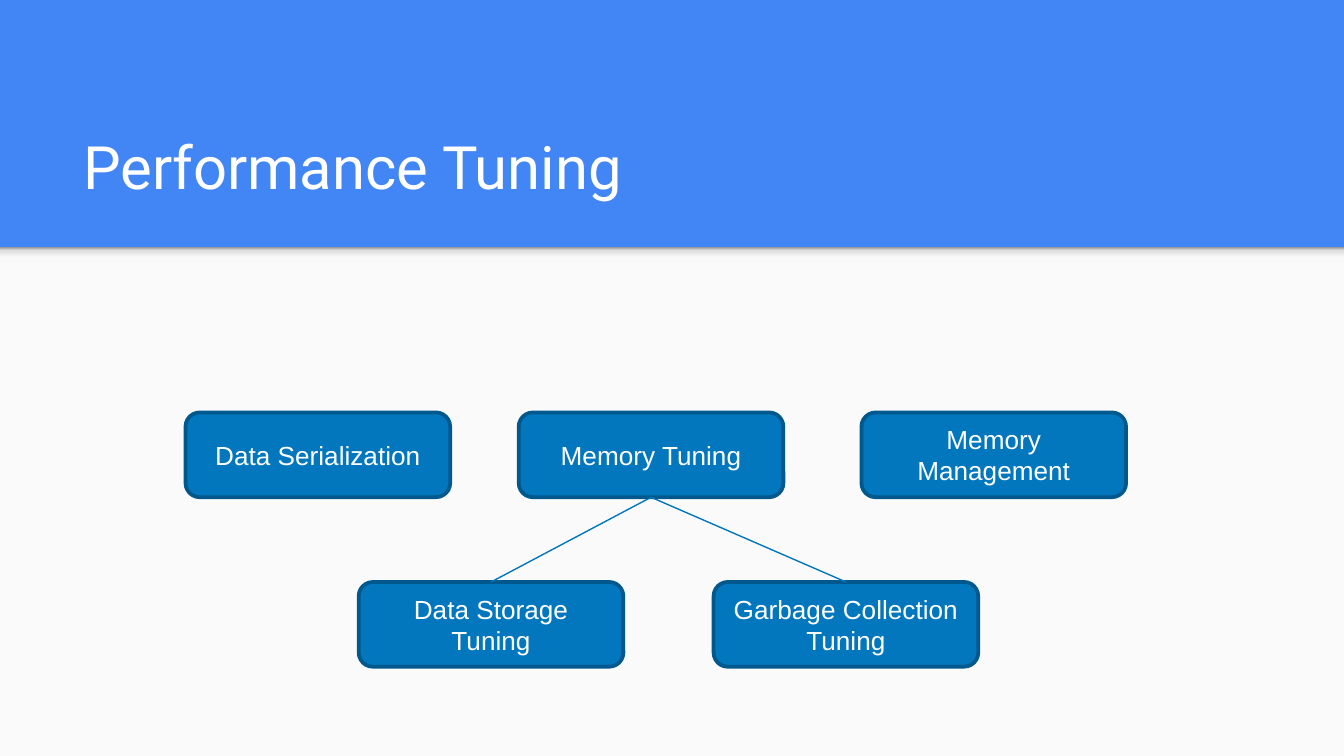
from dataclasses import dataclass

from pptx import Presentation
from pptx.dml.color import RGBColor
from pptx.enum.shapes import MSO_CONNECTOR, MSO_SHAPE
from pptx.enum.text import MSO_ANCHOR, PP_ALIGN
from pptx.oxml import parse_xml
from pptx.oxml.ns import nsdecls, qn
from pptx.util import Pt

RECTANGLE = MSO_SHAPE.RECTANGLE
ROUNDED = MSO_SHAPE.ROUNDED_RECTANGLE
STRAIGHT = MSO_CONNECTOR.STRAIGHT
MIDDLE = MSO_ANCHOR.MIDDLE
LEFT, CENTER = PP_ALIGN.LEFT, PP_ALIGN.CENTER
TOP_SITE, BOTTOM_SITE = 0, 2


@dataclass(frozen=True)
class Theme:
    banner: str = "4285F4"
    body: str = "FAFAFA"
    text: str = "FFFFFF"
    node: str = "0277BD"
    border: str = "01588C"
    link: str = "0075BB"
    shadow: tuple = ((0, "F9F9F9"), (36, "F9F9F9"), (80, "DEDEDE"), (100, "999999"))
    title_font: str = "Roboto"
    node_font: str = "Arial"
    title_size: float = 32
    node_size: float = 14
    border_width: float = 2
    link_width: float = 0.75


THEME = Theme()
WIDTH, HEIGHT = 720, 405
BANNER_HEIGHT = 132.5
SHADOW_HEIGHT = 8.6
NODE_WIDTH, NODE_HEIGHT = 141.8, 45.4
TOP_ROW, BOTTOM_ROW = 221, 311.8

# Label, left, top
NODES = (
    ("Data Serialization", 99.4, TOP_ROW),
    ("Memory Tuning", 277.9, TOP_ROW),
    ("Memory Management", 461.5, TOP_ROW),
    ("Data Storage Tuning", 192.2, BOTTOM_ROW),
    ("Garbage Collection Tuning", 382.3, BOTTOM_ROW),
)
LINKS = (
    ("Memory Tuning", "Data Storage Tuning"),
    ("Memory Tuning", "Garbage Collection Tuning"),
)


def color(value):
    return RGBColor.from_string(value)


def apply_format(target, values):
    for name, value in values.items():
        setattr(target, name, value)


def add_box(page, kind, bounds, fill):
    box = page.shapes.add_shape(kind, *map(Pt, bounds))
    box.shadow.inherit = False
    box.fill.solid()
    box.fill.fore_color.rgb = color(fill)
    box.line.fill.background()
    return box


def write_text(box, text, font, size, align, inset_x, inset_y):
    frame = box.text_frame
    apply_format(frame, {
        "word_wrap": True, "vertical_anchor": MIDDLE,
        "margin_left": Pt(inset_x), "margin_right": Pt(inset_x),
        "margin_top": Pt(inset_y), "margin_bottom": Pt(inset_y),
    })
    para = frame.paragraphs[0]
    para.alignment = align
    span = para.add_run()
    span.text = text
    apply_format(span.font, {"name": font, "size": Pt(size)})
    span.font.color.rgb = color(THEME.text)


def add_banner_shadow(page):
    box = add_box(page, RECTANGLE, (0, BANNER_HEIGHT, WIDTH, SHADOW_HEIGHT), THEME.body)
    stops = "".join(
        f'<a:gs pos="{position * 1000}"><a:srgbClr val="{value}"/></a:gs>'
        for position, value in THEME.shadow
    )
    gradient = parse_xml(
        f'<a:gradFill {nsdecls("a")}><a:gsLst>{stops}</a:gsLst>'
        '<a:lin ang="16200000" scaled="0"/></a:gradFill>'
    )
    properties = box.element.spPr
    properties.replace(properties.find(qn("a:solidFill")), gradient)


def add_title(page, text):
    box = page.shapes.add_textbox(*map(Pt, (37.4, 58.3, 647.3, 60.5)))
    write_text(box, text, THEME.title_font, THEME.title_size, LEFT, 7.2, 7.2)


def add_node(page, label, left, top):
    box = add_box(page, ROUNDED, (left, top, NODE_WIDTH, NODE_HEIGHT), THEME.node)
    box.line.color.rgb = color(THEME.border)
    box.line.width = Pt(THEME.border_width)
    write_text(box, label, THEME.node_font, THEME.node_size, CENTER, 7.2, 3.6)
    return box


def add_link(page, parent, child):
    link = page.shapes.add_connector(STRAIGHT, 0, 0, 0, 0)
    link.begin_connect(parent, BOTTOM_SITE)
    link.end_connect(child, TOP_SITE)
    link.line.color.rgb = color(THEME.link)
    link.line.width = Pt(THEME.link_width)
    link.element.spPr.append(parse_xml(f'<a:effectLst {nsdecls("a")}/>'))


def main():
    deck = Presentation()
    apply_format(deck, {"slide_width": Pt(WIDTH), "slide_height": Pt(HEIGHT)})
    page = deck.slides.add_slide(deck.slide_layouts[6])

    # Banner colour, body panel and title
    page.background.fill.solid()
    page.background.fill.fore_color.rgb = color(THEME.banner)
    add_box(page, RECTANGLE,
            (0, BANNER_HEIGHT, WIDTH, HEIGHT - BANNER_HEIGHT), THEME.body)
    add_banner_shadow(page)
    add_title(page, "Performance Tuning")

    # Topic tree
    nodes = {label: add_node(page, label, left, top) for label, left, top in NODES}
    for parent, child in LINKS:
        add_link(page, nodes[parent], nodes[child])

    deck.save("out.pptx")


main()
